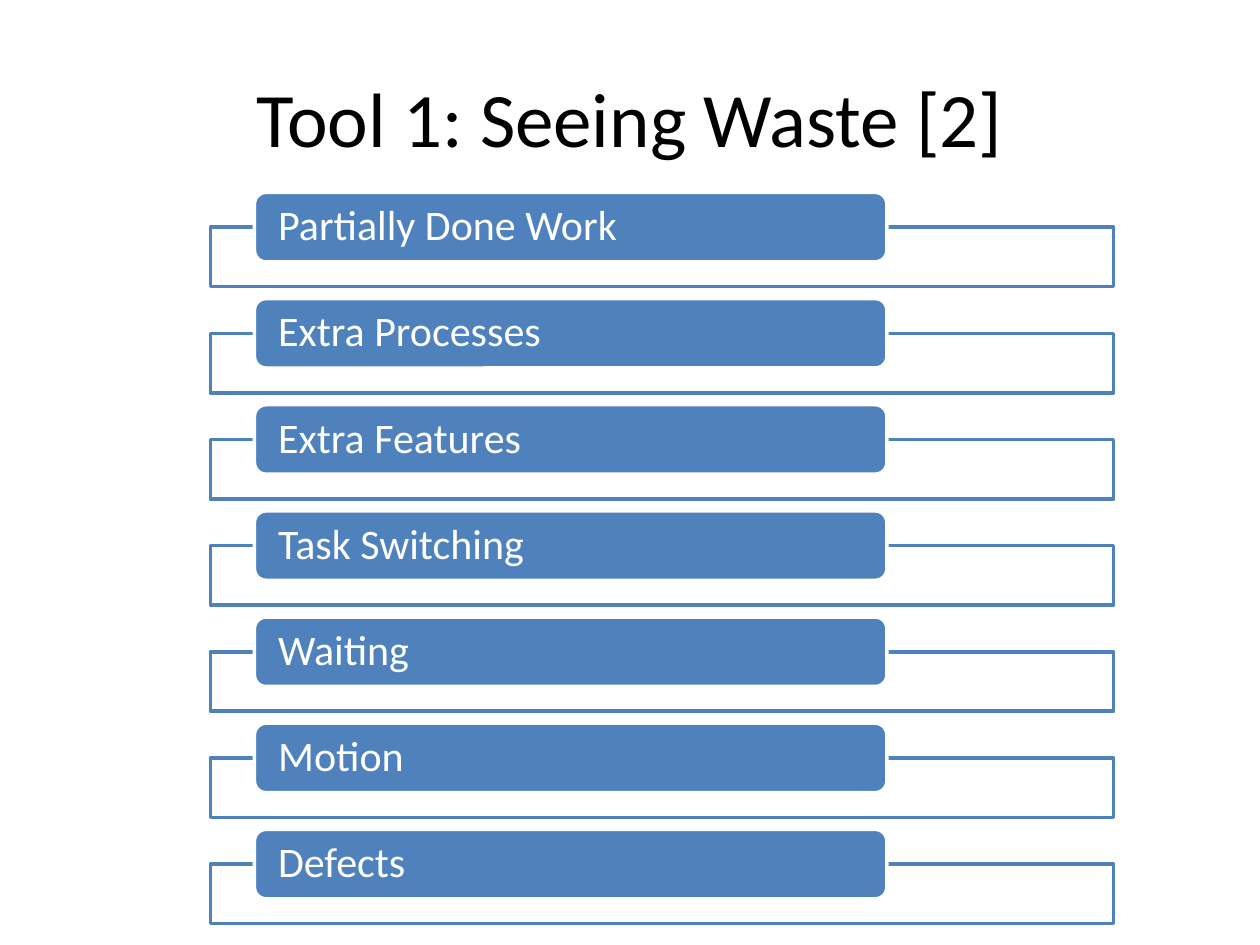
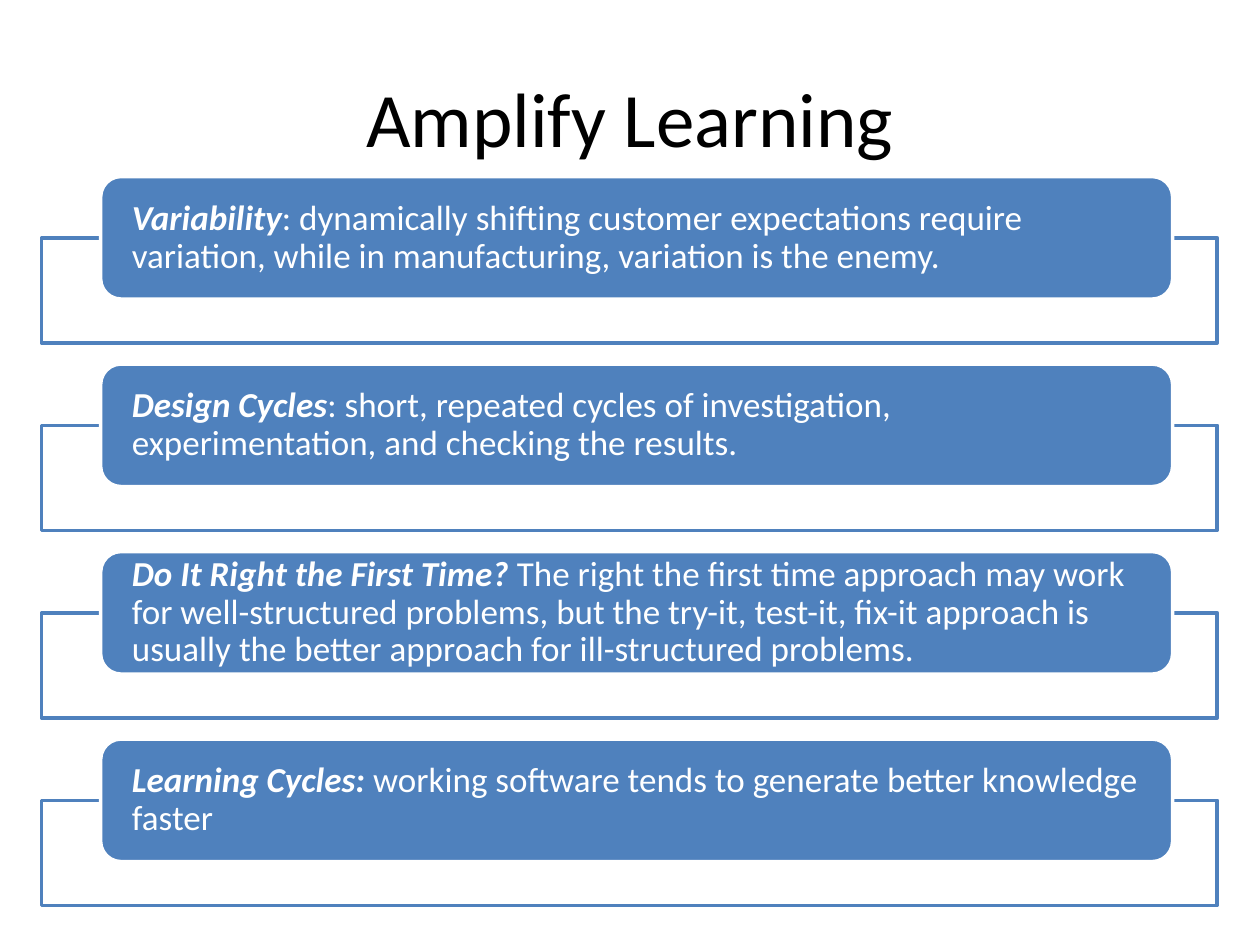
import pptx
import pptx.dml.color
import pptx.enum.shapes
import pptx.enum.text
import pptx.oxml.ns
import pptx.util
from lxml import etree

Cm = pptx.util.Cm
Pt = pptx.util.Pt
ALIGN = pptx.enum.text.PP_ALIGN
ANCHOR = pptx.enum.text.MSO_ANCHOR
SHAPE = pptx.enum.shapes.MSO_SHAPE

COLOURS = {"title": "000000", "accent": "4F81BD", "paper": "FFFFFF"}
FONT = "Calibri"

WASTES = [
    "Partially Done Work", "Extra Processes", "Extra Features", "Task Switching",
    "Waiting", "Motion", "Defects",
]
LEARNING = [
    ("Variability", ": dynamically shifting customer expectations require variation, "
     "while in manufacturing, variation is the enemy."),
    ("Design Cycles", ": short, repeated cycles of investigation, experimentation, "
     "and checking the results."),
    ("Do It Right the First Time? ", "The right the first time approach may work for "
     "well-structured problems, but the try-it, test-it, fix-it approach is usually "
     "the better approach for ill-structured problems."),
    ("Learning Cycles: ", "working software tends to generate better knowledge faster"),
]


def colour(name):
    return pptx.dml.color.RGBColor.from_string(COLOURS[name])


def write(para, text, *, size, tint, bold=False, italic=False):
    span = para.add_run()
    span.text = text
    span.font.name = FONT
    span.font.size = Pt(size)
    span.font.bold = bold
    span.font.italic = italic
    span.font.color.rgb = colour(tint)


class Painter:
    """Holds the deck's style and the page being drawn."""

    def __init__(self):
        self.deck = pptx.Presentation()
        self.deck.slide_width, self.deck.slide_height = Cm(25.4), Cm(19.05)
        self.page = None

    def new_page(self, heading):
        self.page = self.deck.slides.add_slide(self.deck.slide_layouts[5])
        box = self.page.shapes.title
        box.left, box.top, box.width, box.height = Cm(1.27), Cm(0.76), Cm(22.86), Cm(3.18)
        box.text_frame.vertical_anchor = ANCHOR.MIDDLE
        para = box.text_frame.paragraphs[0]
        para.alignment = ALIGN.CENTER
        write(para, heading, size=44, tint="title")

    def block(self, kind, left, top, width, height, fill, line):
        box = self.page.shapes.add_shape(kind, Cm(left), Cm(top), Cm(width), Cm(height))
        box.shadow.inherit = False
        box.fill.solid()
        box.fill.fore_color.rgb = colour(fill)
        box.line.color.rgb = colour(line)
        box.line.width = Pt(2)
        return box

    def frame(self, left, top, width, height):
        box = self.block(SHAPE.RECTANGLE, left, top, width, height, "paper", "accent")
        tag = pptx.oxml.ns.qn
        tone = box.fill._xPr.find(tag("a:solidFill")).find(tag("a:srgbClr"))
        etree.SubElement(tone, tag("a:alpha")).set("val", "90000")

    def label(self, left, top, width, height, spans, size, inset):
        box = self.block(SHAPE.ROUNDED_RECTANGLE, left, top, width, height, "accent", "paper")
        body = box.text_frame
        body.word_wrap = True
        body.vertical_anchor = ANCHOR.MIDDLE
        body.margin_left = body.margin_right = Cm(inset)
        body.margin_top = body.margin_bottom = 0
        para = body.paragraphs[0]
        para.alignment = ALIGN.LEFT
        para.line_spacing = 0.9
        *lead, rest = spans
        for text in lead:
            write(para, text, size=size, tint="paper", bold=True, italic=True)
        write(para, rest, size=size, tint="paper")

    def label_list(self, items, *, top, pitch, frame, label, size, inset):
        frame_left, frame_width, frame_height = frame
        label_left, label_width, label_height = label
        for row, spans in enumerate(items):
            label_top = top + row * pitch
            self.frame(frame_left, label_top + label_height / 2, frame_width, frame_height)
            self.label(label_left, label_top, label_width, label_height, spans, size, inset)


def main():
    painter = Painter()

    painter.new_page("Tool 1: Seeing Waste [2]")
    painter.label_list([(waste,) for waste in WASTES], top=3.88, pitch=2.14,
                       frame=(4.24, 18.21, 1.2), label=(5.13, 12.75, 1.4),
                       size=24, inset=0.41)

    painter.new_page("Amplify Learning")
    painter.label_list(LEARNING, top=3.56, pitch=3.78,
                       frame=(0.84, 23.7, 2.12), label=(2.03, 21.61, 2.47),
                       size=20, inset=0.51)

    painter.deck.save("out.pptx")


if __name__ == "__main__":
    main()
